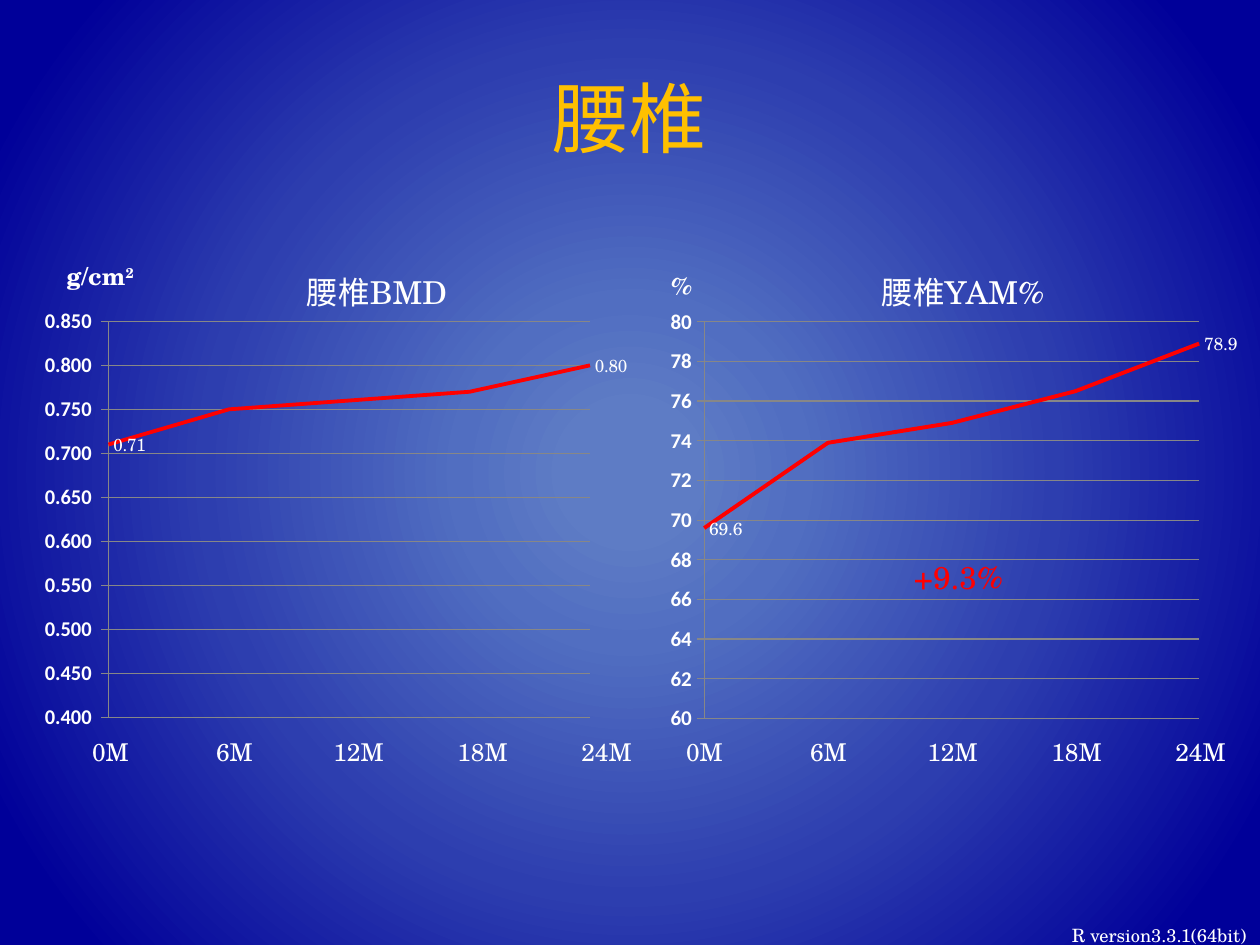
from pptx import Presentation
from pptx.chart.data import CategoryChartData
from pptx.dml.color import RGBColor
from pptx.enum.chart import XL_CHART_TYPE, XL_LABEL_POSITION, XL_MARKER_STYLE, XL_TICK_MARK
from pptx.enum.text import MSO_ANCHOR, MSO_AUTO_SIZE, PP_ALIGN
from pptx.oxml import parse_xml
from pptx.oxml.ns import nsdecls, qn
from pptx.util import Emu, Pt

LINE = XL_CHART_TYPE.LINE
LABEL_RIGHT = XL_LABEL_POSITION.RIGHT
NO_MARKER = XL_MARKER_STYLE.NONE
TICK_OUT, TICK_NONE = XL_TICK_MARK.OUTSIDE, XL_TICK_MARK.NONE
TOP, MIDDLE, BOTTOM = MSO_ANCHOR.TOP, MSO_ANCHOR.MIDDLE, MSO_ANCHOR.BOTTOM
LEFT, CENTER, RIGHT = PP_ALIGN.LEFT, PP_ALIGN.CENTER, PP_ALIGN.RIGHT
GROW, FIXED = MSO_AUTO_SIZE.SHAPE_TO_FIT_TEXT, MSO_AUTO_SIZE.NONE

PX_PER_INCH = 126
WHITE, RED, GOLD, GRAY = "FFFFFF", "FF0000", "FFC000", "878787"
BACKGROUND = [(8, "5E7CC5"), (22, "516EC1"), (54, "2D3EAF"), (91, "000099")]
MONTHS = ["0M", "6M", "12M", "18M", "24M"]


def px(length):
    return Emu(round(length * 914400 / PX_PER_INCH))


def color(hex_value):
    return RGBColor.from_string(hex_value)


class SlideBuilder:
    text_font = "TeX Gyre Schola"
    axis_font = "Calibri"

    def __init__(self, slide):
        self.slide = slide

    def format_font(self, font, fill=WHITE, **values):
        for name, value in ({"name": self.text_font} | values).items():
            setattr(font, name, value)
        font.color.rgb = color(fill)

    def format_line(self, line, fill, width):
        line.color.rgb = color(fill)
        line.width = Pt(width)

    def background(self, stops):
        stop_xml = "".join(
            f'<a:gs pos="{position * 1000}"><a:srgbClr val="{fill}"/></a:gs>'
            for position, fill in stops)
        background = parse_xml(
            f'<p:bg {nsdecls("p", "a")}><p:bgPr><a:gradFill rotWithShape="1">'
            f'<a:gsLst>{stop_xml}</a:gsLst><a:path path="circle">'
            '<a:fillToRect l="50000" t="50000" r="50000" b="50000"/></a:path>'
            '</a:gradFill><a:effectLst/></p:bgPr></p:bg>')
        self.slide.element.cSld.insert(0, background)

    def text(self, area, content, size, fill=WHITE, align=CENTER, anchor=TOP,
             bold=False, superscript="", auto_size=GROW):
        box = self.slide.shapes.add_textbox(*map(px, area))
        frame = box.text_frame
        frame_format = {"word_wrap": True, "auto_size": auto_size, "vertical_anchor": anchor}
        for name, value in frame_format.items():
            setattr(frame, name, value)
        para = frame.paragraphs[0]
        para.alignment = align
        for part in filter(None, (content, superscript)):
            span = para.add_run()
            span.text = part
            self.format_font(span.font, fill, size=Pt(size), bold=bold)
        if superscript:
            span._r.get_or_add_rPr().set("baseline", "30000")

    def line_chart(self, area, values, scale, axis_format, label_format, plot):
        data = CategoryChartData()
        data.categories = ["1", "2", "3", "4", "5"]
        data.add_series("Series 1", values)
        chart = self.slide.shapes.add_chart(LINE, *map(px, area), data).chart
        chart.has_legend = chart.has_title = False
        self.format_font(chart.font, size=Pt(10))
        chart.plots[0].vary_by_categories = False
        chart.category_axis.visible = False

        # Value axis, with the line starting on it
        axis = chart.value_axis
        axis_values = dict(zip(("minimum_scale", "maximum_scale", "major_unit"), scale))
        axis_values |= {"has_major_gridlines": True, "major_tick_mark": TICK_OUT,
                        "minor_tick_mark": TICK_NONE}
        for name, value in axis_values.items():
            setattr(axis, name, value)
        axis.tick_labels.number_format = axis_format
        axis.tick_labels.number_format_is_linked = False
        self.format_font(axis.tick_labels.font, name=self.axis_font, size=Pt(12), bold=True)
        for line in (axis.format.line, axis.major_gridlines.format.line):
            self.format_line(line, GRAY, 0.75)
        axis._element.find(qn("c:crosses")).addnext(
            parse_xml(f'<c:crossBetween {nsdecls("c")} val="midCat"/>'))

        # Series, labelled at its first and last points only
        series = chart.plots[0].series[0]
        series.smooth = False
        series.marker.style = NO_MARKER
        self.format_line(series.format.line, RED, 2.25)
        labels = series.data_labels
        label_values = {"show_value": True, "position": LABEL_RIGHT,
                        "number_format": label_format, "number_format_is_linked": False}
        for name, value in label_values.items():
            setattr(labels, name, value)
        self.format_font(labels.font, size=Pt(10))
        for position in range(len(values) - 2):
            labels._element.insert(position, parse_xml(
                f'<c:dLbl {nsdecls("c")}><c:idx val="{position + 1}"/>'
                '<c:delete val="1"/></c:dLbl>'))

        # Inner plot area as fractions of the chart
        plot_area = chart._chartSpace.chart.plotArea
        for old_layout in plot_area.findall(qn("c:layout")):
            plot_area.remove(old_layout)
        modes = '<c:xMode val="edge"/><c:yMode val="edge"/>'
        extents = "".join(f'<c:{key} val="{value}"/>' for key, value in zip("xywh", plot))
        plot_area.insert(0, parse_xml(
            f'<c:layout {nsdecls("c")}><c:manualLayout><c:layoutTarget val="inner"/>'
            f'{modes}{extents}</c:manualLayout></c:layout>'))


def main():
    deck = Presentation()
    deck.slide_width, deck.slide_height = px(1260), px(945)
    page = SlideBuilder(deck.slides.add_slide(deck.slide_layouts[6]))
    page.background(BACKGROUND)
    page.text((63, 38, 1134, 158), "腰椎", 44, GOLD, anchor=MIDDLE, auto_size=FIXED)

    # Charts
    page.line_chart((6, 297, 626, 489), [0.71, 0.75, 0.76, 0.77, 0.80], (0.4, 0.85, 0.05),
                    r"0.000_);[Red]\(0.000\)", r"#,##0.00_);[Red]\(#,##0.00\)",
                    (0.168, 0.05, 0.79, 0.81))
    page.line_chart((659, 300, 595, 496), [69.6, 73.9, 74.9, 76.5, 78.9], (60, 80, 2),
                    "General", r"#,##0.0_);[Red]\(#,##0.0\)",
                    (0.076, 0.044, 0.832, 0.8))

    # Chart headings and month labels
    for heading, heading_left, month_left in (("腰椎BMD", 258, 71), ("腰椎YAM%", 844, 665)):
        page.text((heading_left, 267, 238, 50), heading, 18)
        for step, month in enumerate(MONTHS):
            page.text((month_left + 124 * step, 731, 79, 43), month, 14)

    # Units, change and software version
    page.text((54, 255, 115, 43), "g/cm", 14, align=LEFT, bold=True, superscript="2")
    page.text((659, 265, 92, 43), "%", 14, align=LEFT, bold=True)
    page.text((835, 552, 247, 50), "+9.3%", 18, RED)
    page.text((892, 916, 367, 36), "R version3.3.1(64bit)", 10.5, align=RIGHT, anchor=BOTTOM)

    deck.save("out.pptx")


if __name__ == "__main__":
    main()
